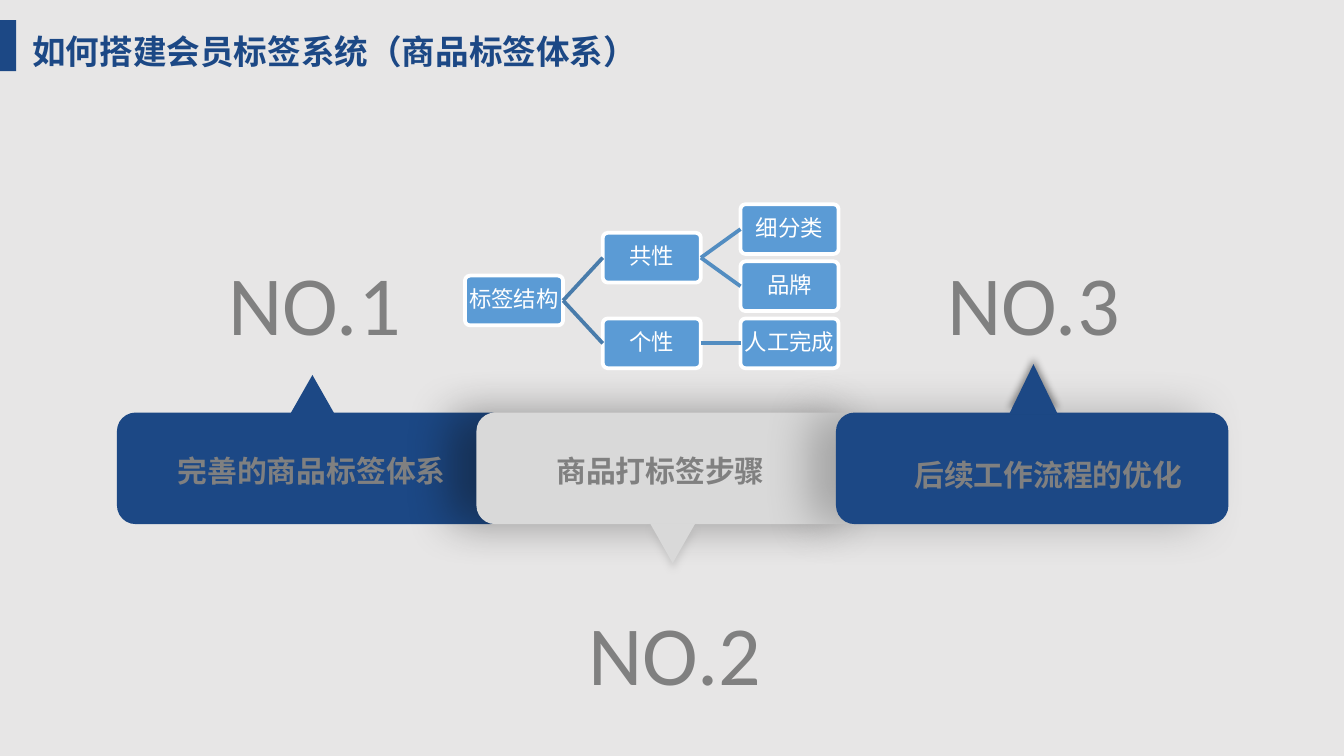
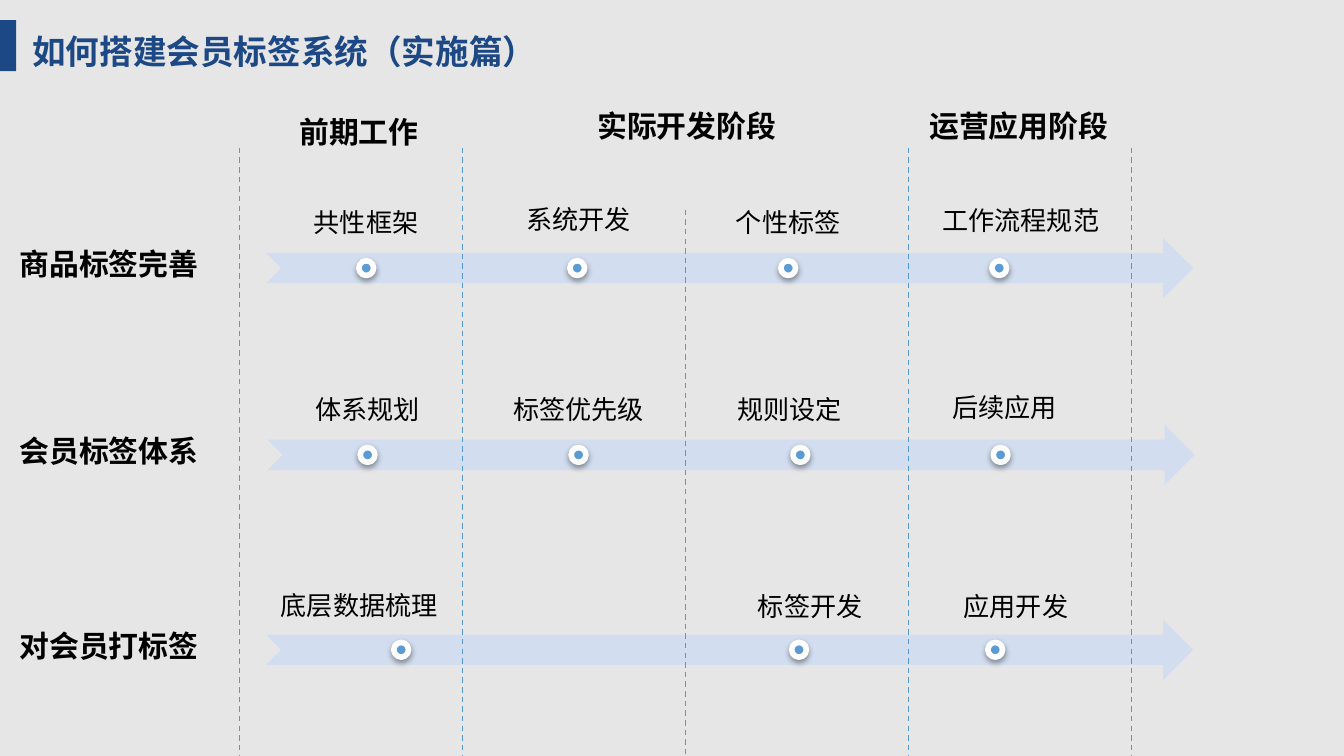
from lxml import etree
from pptx import Presentation
from pptx.dml.color import RGBColor
from pptx.enum import dml, shapes, text
from pptx.oxml import ns
from pptx.util import Inches, Pt

COLORS = {
    "background": "E7E6E6", "navy": "1C4885", "silver": "D9D9D9", "gray": "808080",
    "blue": "5B9BD5", "pale": "D2DEEF", "guide": "5698D3", "white": "FFFFFF",
    "black": "000000", "root_link": "497CAB", "branch_link": "538DC1",
}
CJK = "Noto Sans CJK SC"
LATIN = "Calibri"
CENTER, LEFT = text.PP_ALIGN.CENTER, text.PP_ALIGN.LEFT
TOP, MIDDLE, BOTTOM = (text.MSO_ANCHOR.TOP, text.MSO_ANCHOR.MIDDLE,
                       text.MSO_ANCHOR.BOTTOM)
SHAPE = shapes.MSO_SHAPE

STRUCTURE_TITLE = "如何搭建会员标签系统（商品标签体系）"
ROLLOUT_TITLE = "如何搭建会员标签系统（实施篇）"

NUMBERS = [("NO.1", 1.6, 1.82), ("NO.2", 4.28, 4.43), ("NO.3", 6.95, 1.82)]
PANELS = [
    ("navy", None),
    ("silver", ("0D0D0D", 40, 24, 15, 180)),
    ("navy", ("595959", 40, 24, 15, 180)),
]
POINTERS = [
    ((2.16, 2.79, 0.33, 0.29), "navy", 0, None),
    ((7.51, 2.71, 0.36, 0.37), "navy", 0, ("000000", 40, 4, 3, 270)),
    ((4.84, 3.9, 0.33, 0.29), "silver", 180, ("A6A6A6", 40, 4, 3, 90)),
]
PANEL_LABELS = [
    ("完善的商品标签体系", (1.21, 3.32, 2.22, 0.37)),
    ("商品打标签步骤", (4.03, 3.32, 1.77, 0.37)),
    ("后续工作流程的优化", (6.69, 3.35, 2.22, 0.37)),
]
TREE = [
    ("标签结构", 0, 2.5, None),
    ("共性", 1, 1, "标签结构"),
    ("个性", 1, 4, "标签结构"),
    ("细分类", 2, 0, "共性"),
    ("品牌", 2, 2, "共性"),
    ("人工完成", 2, 4, "个性"),
]
TREE_RIGHT, TREE_BOTTOM = 5.51, 2.37

PHASES = [("前期工作", 1.86, 0.8), ("实际开发阶段", 4.3, 0.75), ("运营应用阶段", 6.77, 0.75)]
GUIDE_TOPS = [1.1, 1.1, 1.56, 1.1, 1.1]
TRACKS = [
    {"name": "商品标签完善", "left": 1.98, "top": 1.77, "label_width": 1.49, "stages": [
        ("共性框架", 1.98, 1.43, BOTTOM, CENTER, 2.67),
        ("系统开发", 3.56, 1.43, TOP, CENTER, 4.24),
        ("个性标签", 5.12, 1.43, BOTTOM, CENTER, 5.81),
        ("工作流程规范", 6.85, 1.44, TOP, CENTER, 7.38)]},
    {"name": "会员标签体系", "left": 1.99, "top": 3.16, "label_width": 1.49, "stages": [
        ("体系规划", 1.99, 2.82, BOTTOM, CENTER, 2.68),
        ("标签优先级", 3.56, 2.84, TOP, CENTER, 4.25),
        ("规则设定", 5.13, 2.82, BOTTOM, CENTER, 5.9),
        ("后续应用", 6.73, 2.83, TOP, CENTER, 7.39)]},
    {"name": "对会员打标签", "left": 1.98, "top": 4.61, "label_width": 2, "stages": [
        ("底层数据梳理", 1.98, 4.28, BOTTOM, LEFT, 2.93),
        ("标签开发", 5.03, 4.31, TOP, CENTER, 5.89),
        ("应用开发", 6.56, 4.29, BOTTOM, CENTER, 7.35)]},
]


def rgb(name):
    return RGBColor.from_string(COLORS[name])


def inches(box):
    return [Inches(value) for value in box]


def write(shape, words, size, color, font=LATIN, bold=False, align=CENTER,
          anchor=TOP, wrap=True, inset=None, spacing=None):
    frame = shape.text_frame
    frame.text = words
    frame.word_wrap = wrap
    frame.auto_size = text.MSO_AUTO_SIZE.NONE
    frame.vertical_anchor = anchor
    if inset is not None:
        frame.margin_left = frame.margin_right = Inches(inset)
        frame.margin_top = frame.margin_bottom = Inches(inset)
    paragraph = frame.paragraphs[0]
    paragraph.alignment = align
    if spacing:
        paragraph.line_spacing = spacing
    paragraph.font.size = Pt(size)
    paragraph.font.bold = bold
    paragraph.font.name = font
    paragraph.font.color.rgb = rgb(color)
    if font == CJK:
        run_properties = paragraph.runs[0]._r.get_or_add_rPr()
        etree.SubElement(run_properties, ns.qn("a:ea"), typeface=CJK)


def add_text(slide, box, words, size, color, **style):
    write(slide.shapes.add_textbox(*inches(box)), words, size, color, **style)


def add_heading(slide, box, words, color="black", **style):
    add_text(slide, box, words, 16, color, font=CJK, bold=True, **style)


def add_block(slide, kind, box, fill, line=None, shadow=None):
    shape = slide.shapes.add_shape(kind, *inches(box))
    shape.fill.solid()
    shape.fill.fore_color.rgb = rgb(fill)
    if line:
        shape.line.color.rgb = rgb("white")
        shape.line.width = Pt(line)
    else:
        shape.line.fill.background()
    shape.shadow.inherit = False
    if shadow:
        color, opacity, blur, distance, angle = shadow
        effects = shape._element.spPr.find(ns.qn("a:effectLst"))
        outer = etree.SubElement(
            effects, ns.qn("a:outerShdw"), blurRad=str(Pt(blur)),
            dist=str(Pt(distance)), dir=str(angle * 60000), rotWithShape="0")
        tint = etree.SubElement(outer, ns.qn("a:srgbClr"), val=color)
        etree.SubElement(tint, ns.qn("a:alpha"), val=str(opacity * 1000))
    return shape


def add_line(slide, start, end, color, width):
    line = slide.shapes.add_connector(
        shapes.MSO_CONNECTOR.STRAIGHT, *inches(start + end))
    line.line.color.rgb = rgb(color)
    line.line.width = Pt(width)
    etree.SubElement(line._element.spPr, ns.qn("a:effectLst"))
    return line


def add_slide(presentation, title):
    slide = presentation.slides.add_slide(presentation.slide_layouts[5])
    placeholder = slide.shapes.title
    placeholder.left, placeholder.top, placeholder.width, placeholder.height = inches(
        (0.14, 0.18, 5.3, 0.4))
    write(placeholder, title, 18, "navy", font=CJK, bold=True, align=LEFT)
    add_block(slide, SHAPE.RECTANGLE, (0, 0.15, 0.12, 0.38), "navy")
    return slide


def add_tree(slide):
    nodes = {}
    for name, column, row, parent in TREE:
        left = TREE_RIGHT - 2.05 * (2 - column) / 2
        top = TREE_BOTTOM - 0.85 * (4 - row) / 4
        node = add_block(slide, SHAPE.ROUNDED_RECTANGLE,
                         (left, top, 0.73, 0.37), "blue", line=2)
        node.adjustments[0] = 0.1
        write(node, name, 12, "white", anchor=MIDDLE, inset=0.02, spacing=0.9)
        nodes[name] = node
        if parent:
            color = "root_link" if column == 1 else "branch_link"
            link = add_line(slide, (0, 0), (1, 1), color, 2)
            link.begin_connect(nodes[parent], 3)
            link.end_connect(node, 1)


def build_structure(presentation):
    slide = add_slide(presentation, STRUCTURE_TITLE)
    for words, left, top in NUMBERS:
        add_text(slide, (left, top, 1.5, 0.86), words, 45, "gray",
                 align=LEFT, wrap=False)
    for index, (fill, shadow) in enumerate(PANELS):
        add_block(slide, SHAPE.ROUNDED_RECTANGLE,
                  (0.87 + 5.35 * index / 2, 3.07, 2.92, 0.83), fill, shadow=shadow)
    for box, fill, rotation, shadow in POINTERS:
        pointer = add_block(slide, SHAPE.ISOSCELES_TRIANGLE, box, fill, shadow=shadow)
        pointer.rotation = rotation
    for words, box in PANEL_LABELS:
        add_heading(slide, box, words, "gray", wrap=False)
    add_tree(slide)


def add_track(slide, track):
    add_heading(slide, (0, track["top"] + 0.01, 1.62, 0.37), track["name"])
    add_block(slide, SHAPE.NOTCHED_RIGHT_ARROW,
              (track["left"], track["top"], 6.9, 0.45), "pale")
    for words, left, top, anchor, align, dot_left in track["stages"]:
        add_text(slide, (left, top, track["label_width"], 0.45), words, 14, "black",
                 anchor=anchor, align=align, inset=0.11, spacing=0.9)
        add_block(slide, SHAPE.OVAL, (dot_left, track["top"] + 0.17, 0.11, 0.11),
                  "blue", line=3, shadow=("000000", 38, 3.1, 1.6, 90))


def build_rollout(presentation):
    slide = add_slide(presentation, ROLLOUT_TITLE)
    for track in TRACKS:
        add_track(slide, track)
    for index, top in enumerate(GUIDE_TOPS):
        left = 1.78 + 1.66 * index
        guide = add_line(slide, (left, top), (left, 5.62), "guide", 0.75)
        guide.line.dash_style = dml.MSO_LINE.DASH
    for words, left, top in PHASES:
        add_heading(slide, (left, top, 1.62, 0.37), words)


def main():
    presentation = Presentation()
    presentation.slide_width = Inches(10)
    presentation.slide_height = presentation.slide_width * 9 // 16
    background = presentation.slide_master.background.fill
    background.solid()
    background.fore_color.rgb = rgb("background")
    build_structure(presentation)
    build_rollout(presentation)
    presentation.save("out.pptx")


if __name__ == "__main__":
    main()
